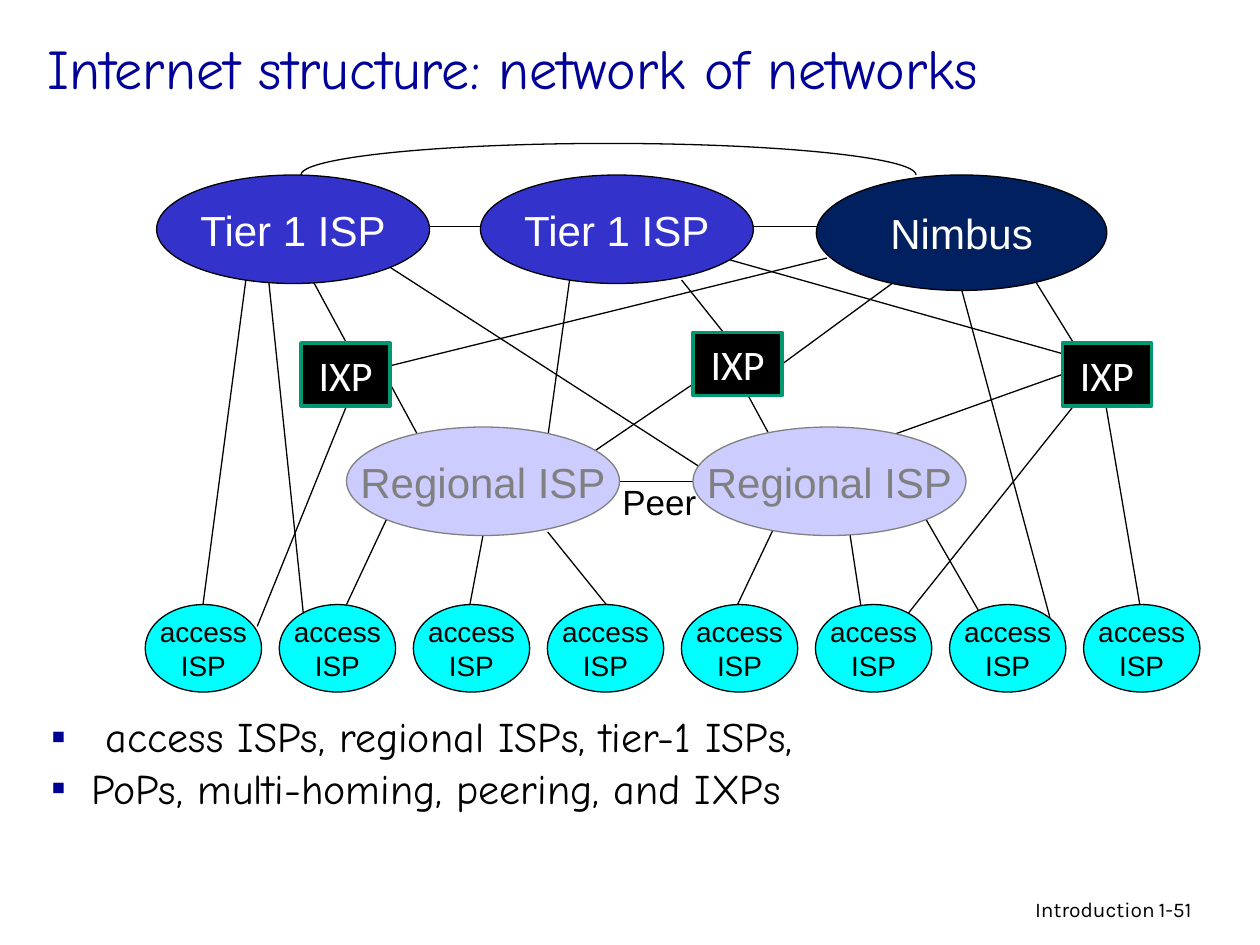
from lxml.etree import SubElement
from pptx import Presentation
from pptx.dml.color import RGBColor
from pptx.enum.shapes import MSO_CONNECTOR as CONNECTOR, MSO_SHAPE as SHAPE
from pptx.enum.text import MSO_ANCHOR as ANCHOR, MSO_AUTO_SIZE as AUTO_SIZE, PP_ALIGN as ALIGN
from pptx.oxml.ns import qn
from pptx.util import Pt

rgb = RGBColor.from_string


def write(frame, lines, font, size, color, align=ALIGN.LEFT):
    """Fill a text frame with one paragraph per line."""
    for i, line in enumerate(lines):
        paragraph = frame.paragraphs[0] if i == 0 else frame.add_paragraph()
        paragraph.alignment = align
        run = paragraph.add_run()
        run.text = line
        run.font.name, run.font.size = font, Pt(size)
        run.font.color.rgb = rgb(color)


def add_node(kind, box, fill, outline, weight, lines, font, size, color):
    """Add a filled network node with a centred label."""
    node = slide.shapes.add_shape(kind, *map(Pt, box))
    node.shadow.inherit = False
    node.fill.solid()
    node.fill.fore_color.rgb = rgb(fill)
    node.line.color.rgb = rgb(outline)
    node.line.width = Pt(weight)
    node.text_frame.word_wrap = kind == SHAPE.RECTANGLE
    node.text_frame.vertical_anchor = ANCHOR.MIDDLE
    write(node.text_frame, lines, font, size, color, ALIGN.CENTER)


prs = Presentation()
prs.slide_width, prs.slide_height = Pt(720), Pt(540)
slide = prs.slides.add_slide(prs.slide_layouts[1])

# Title and summary list
title, summary = slide.placeholders
title.left, title.top, title.width, title.height = map(Pt, (20, 13, 637, 51))
title.text_frame.vertical_anchor = ANCHOR.MIDDLE
title.text_frame.auto_size = AUTO_SIZE.NONE
write(title.text_frame, ["Internet structure: network of networks"], "Comic Neue", 32, "000099")

summary.left, summary.top, summary.width, summary.height = map(Pt, (18, 407, 664.5, 144))
summary.text_frame.auto_size = AUTO_SIZE.NONE
write(summary.text_frame,
      [" access ISPs, regional ISPs, tier-1 ISPs,", "PoPs, multi-homing, peering, and IXPs"],
      "Comic Neue", 24, "000000")
for i, paragraph in enumerate(summary.text_frame.paragraphs):
    paragraph.line_spacing = 0.85
    paragraph.space_before = Pt(4.8 if i else 0)
    props = paragraph._p.get_or_add_pPr()
    props.set("marL", str(Pt(27)))
    props.set("indent", str(Pt(-23)))
    SubElement(SubElement(props, qn("a:buClr")), qn("a:srgbClr"), val="000090")
    SubElement(props, qn("a:buFont"), typeface="Arial")
    SubElement(props, qn("a:buChar"), char="▪")

# Links between the networks: x1, y1, x2, y2
links = [
    # tier 1 and content provider: peering
    (284.5, 129.5, 242.5, 129.5), (469.5, 129.5, 427.5, 129.5),
    # tier 1 and content provider: down
    (140.5, 160, 116, 345.5), (153.5, 160, 173.5, 352), (178.5, 160, 198, 196),
    (222.5, 152.5, 402.5, 268.5), (325.5, 160, 313, 250), (389.5, 160, 421, 199.5),
    (417, 148.5, 608.5, 202.5), (472.5, 147.5, 223, 209), (512.5, 160, 447, 208),
    (549.5, 165.5, 600, 353), (587.5, 154, 613.5, 196),
    # exchange points
    (198, 232, 147, 358), (223, 219.5, 242.5, 255.5), (396, 219.5, 332, 263),
    (427.5, 226, 440.5, 250), (607, 214, 504.5, 250.5), (613.5, 232, 517, 353),
    (632, 232, 651.5, 346.5),
    # regional networks
    (396, 275, 354, 275), (221, 296.5, 198, 345.5), (276, 306, 268.5, 345.5),
    (313, 304, 346.5, 345.5), (444, 298, 421, 346.5), (485.5, 304, 492, 346.5),
    (529, 296.5, 561.5, 353),
]
for ends in links:
    link = slide.shapes.add_connector(CONNECTOR.STRAIGHT, *map(Pt, ends))
    link.line.color.rgb = rgb("000000")
    link.line.width = Pt(0.75)
    SubElement(link._element.spPr, qn("a:effectLst"))

long_peering = slide.shapes.add_shape(SHAPE.ARC, Pt(172), Pt(82), Pt(351.5), Pt(36))
long_peering.shadow.inherit = False
long_peering.adjustments[0], long_peering.adjustments[1] = 106.82, 0
long_peering.fill.background()
long_peering.line.color.rgb = rgb("000000")
long_peering.line.width = Pt(0.75)

# Networks, tier by tier
for left, top in [(172, 196), (396, 190), (607, 196)]:
    add_node(SHAPE.RECTANGLE, (left, top, 51, 36), "000000", "009771", 2,
             ["IXP"], "Calibri", 24, "FFFFFF")

for label, box, fill, outline, color in [
    ("Tier 1 ISP", (89.5, 100, 156, 62), "3333CC", "000000", "FFFFFF"),
    ("Tier 1 ISP", (274.5, 100, 156, 62), "3333CC", "000000", "FFFFFF"),
    ("Nimbus", (466.5, 100, 166, 66), "002060", "000000", "FFFFFF"),
    ("Regional ISP", (198, 244, 156, 62), "CCCCFF", "808080", "808080"),
    ("Regional ISP", (396, 244, 156, 62), "CCCCFF", "808080", "808080"),
]:
    add_node(SHAPE.OVAL, box, fill, outline, 0.75, [label], "Arial", 24, color)

for i in range(8):
    add_node(SHAPE.OVAL, (83 + 76.6 * i, 345.5, 66.5, 50), "00FFFF", "000000", 0.75,
             ["access", "ISP"], "Arial", 16, "000000")

# Peering label and footer
for words, box, font, size, align, wrap in [
    ("Peer", (348.5, 271, 57, 31.5), "Arial", 20, ALIGN.LEFT, False),
    ("Introduction", (439, 509, 228, 22), "Karla", 12, ALIGN.RIGHT, True),
    ("1-51", (655, 509, 53.5, 22), "Karla", 12, ALIGN.LEFT, True),
]:
    caption = slide.shapes.add_textbox(*map(Pt, box))
    caption.text_frame.word_wrap = wrap
    write(caption.text_frame, [words], font, size, "000000", align)

prs.save("out.pptx")
